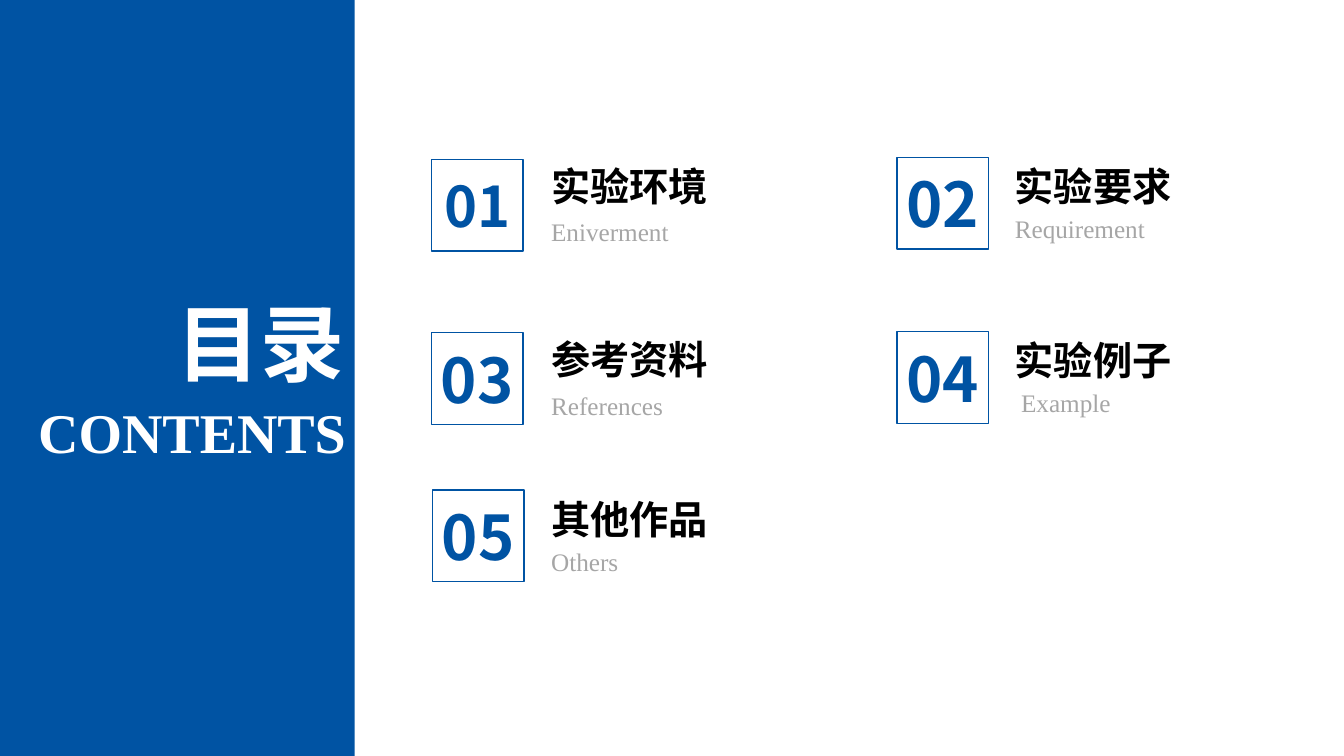
from lxml import etree
from pptx import Presentation
from pptx.dml.color import RGBColor
from pptx.enum.shapes import MSO_SHAPE
from pptx.enum.text import MSO_AUTO_SIZE, PP_ALIGN
from pptx.oxml.ns import qn
from pptx.util import Pt

RECTANGLE = MSO_SHAPE.RECTANGLE
FIT_SHAPE = MSO_AUTO_SIZE.SHAPE_TO_FIT_TEXT
LEFT, CENTER, RIGHT = PP_ALIGN.LEFT, PP_ALIGN.CENTER, PP_ALIGN.RIGHT

# Content
COLORS = {"blue": "0053A3", "white": "FFFFFF", "black": "000000", "gray": "A6A6A6"}
CJK, LATIN = "Noto Sans CJK SC", "Times New Roman"

# number, size, heading, subtitle, square left and top, heading top, subtitle top
CHAPTERS = [
    ("01", 40, "实验环境", "Eniverment", 308.2, 113.8, 112.3, 151.2),
    ("02", 44, "实验要求", "Requirement", 640.8, 112.3, 112.3, 149),
    ("03", 44, "参考资料", "References", 308.2, 237.6, 236.2, 275),
    ("04", 44, "实验例子", " Example", 640.8, 236.9, 236.9, 272.9),
    ("05", 44, "其他作品", "Others", 308.9, 349.9, 349.9, 386.6),
]

# Layout
SLIDE_W, SLIDE_H = 960, 540
PANEL_W = 253.4
SQUARE = 65.5
NUMBER_W = 70.6
HEADING_W = 188.6
HEADING_X = (386.6, 717.8)


def color(name):
    return RGBColor.from_string(COLORS[name])


def line_height(size):
    return 1.2 * size + 7.2


def add_text(shapes, text, left, top, width, size, font, tint, bold=True, align=LEFT):
    box = shapes.add_textbox(Pt(left), Pt(top), Pt(width), Pt(line_height(size)))
    frame = box.text_frame
    frame.word_wrap = True
    frame.auto_size = FIT_SHAPE
    frame.text = text
    paragraph = frame.paragraphs[0]
    paragraph.alignment = align
    run = paragraph.runs[0]
    run.font.size = Pt(size)
    run.font.bold = bold
    run.font.name = font
    run.font.color.rgb = color(tint)
    # East Asian characters take their typeface from a:ea
    etree.SubElement(run.font._element, qn("a:ea")).set("typeface", font)


def add_rectangle(shapes, left, top, width, height, fill=None, line=None):
    rectangle = shapes.add_shape(RECTANGLE, Pt(left), Pt(top), Pt(width), Pt(height))
    rectangle.shadow.inherit = False
    if fill:
        rectangle.fill.solid()
        rectangle.fill.fore_color.rgb = color(fill)
    else:
        rectangle.fill.background()
    if line:
        rectangle.line.color.rgb = color(line)
        rectangle.line.width = Pt(1)
    else:
        rectangle.line.fill.background()


prs = Presentation()
prs.slide_width, prs.slide_height = Pt(SLIDE_W), Pt(SLIDE_H)
slide = prs.slides.add_slide(prs.slide_layouts[6])

# Side panel with the title
add_rectangle(slide.shapes, 0, 0, PANEL_W, SLIDE_H, fill="blue")
add_text(slide.shapes, "目录", 70.6, 204.5, PANEL_W - 70.6, 60, CJK, "white", align=RIGHT)
add_text(slide.shapes, "CONTENTS", 0, 280.1, 254.2, 40, LATIN, "white", align=RIGHT)

# Chapters in two columns, the number centred on its square
for index, chapter in enumerate(CHAPTERS):
    number, size, heading, subtitle, left, top, heading_top, subtitle_top = chapter
    group = slide.shapes.add_group_shape().shapes
    heading_x = HEADING_X[index % 2]
    add_text(group, heading, heading_x, heading_top, HEADING_W, 28, CJK, "black")
    add_text(group, subtitle, heading_x, subtitle_top, HEADING_W, 18, LATIN, "gray", bold=False)
    number_x = left + (SQUARE - NUMBER_W) / 2
    number_y = top + (SQUARE - line_height(size)) / 2
    add_text(group, number, number_x, number_y, NUMBER_W, size, CJK, "blue", align=CENTER)
    add_rectangle(group, left, top, SQUARE, SQUARE, line="blue")

prs.save("out.pptx")
